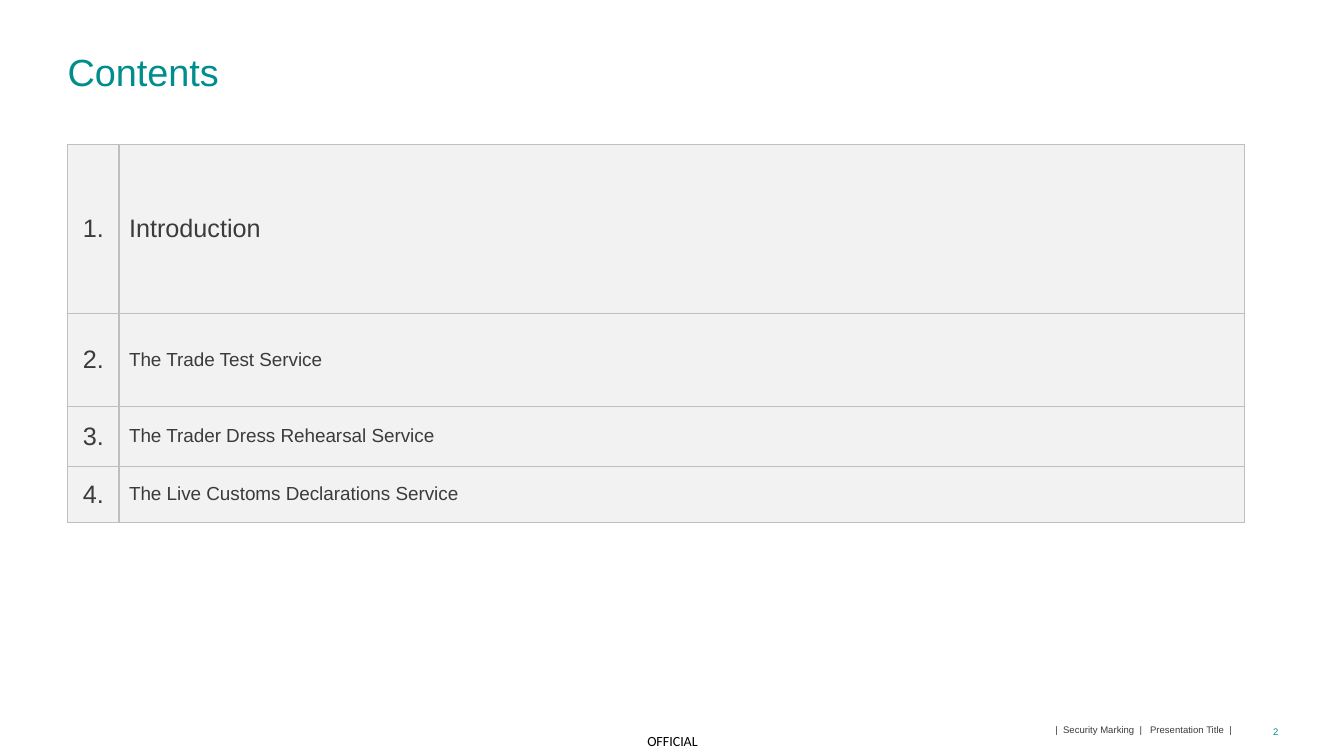
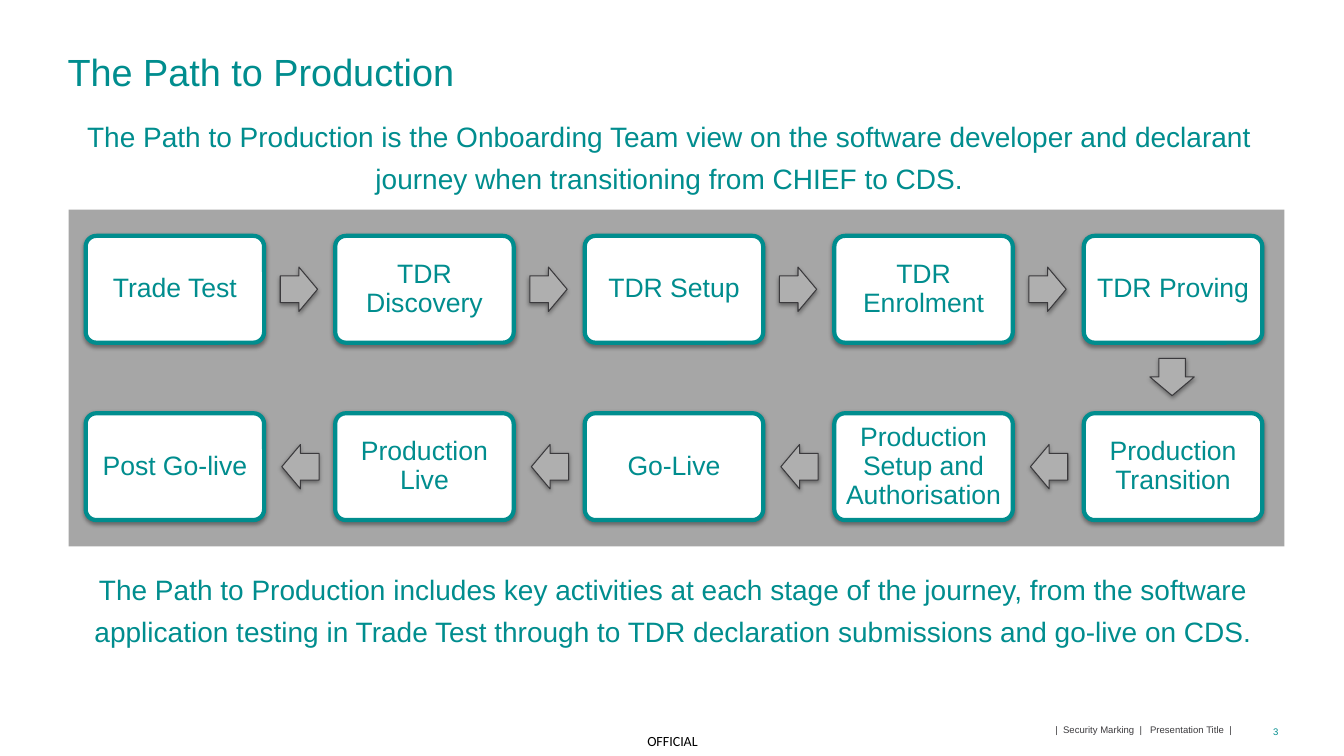
from dataclasses import dataclass
from typing import Optional

from lxml.etree import SubElement
from pptx import Presentation
from pptx.dml.color import RGBColor as RGB
from pptx.enum.shapes import MSO_SHAPE as Shape
from pptx.enum.text import MSO_ANCHOR as Anchor, MSO_AUTO_SIZE as AutoSize, PP_ALIGN as Align
from pptx.oxml.ns import qn
from pptx.util import Inches, Pt


# Theme: colours and type sizes
@dataclass(frozen=True)
class Theme:
    teal: str = "008D8E"
    ink: str = "3B3A3D"
    black: str = "000000"
    white: str = "FFFFFF"
    panel: str = "A6A6A6"
    arrow: str = "AFAFAF"
    cell: str = "F2F2F2"
    border: str = "BFBFBF"
    font: str = "Arial"
    marking_font: str = "Calibri"
    title: float = 27
    statement: float = 20
    step: float = 19
    heading: float = 18
    entry: float = 13.5
    marking: float = 10
    footer: float = 6.8


THEME = Theme()


@dataclass(frozen=True)
class Box:
    left: float
    top: float
    width: float
    height: float

    def emu(self) -> tuple:
        return tuple(Inches(v) for v in (self.left, self.top, self.width, self.height))


@dataclass(frozen=True)
class Entry:
    text: str
    row_height: float
    size: float = THEME.entry


# Shared drawing functions
def write(frame, text: str, *, size: float, color: str = THEME.teal, font: str = THEME.font,
          align=Align.LEFT, anchor=Anchor.TOP, inset: Optional[float] = 0,
          line_spacing=None, space_after: float = 0) -> None:
    frame.word_wrap = True
    frame.auto_size = AutoSize.NONE
    frame.vertical_anchor = anchor
    if inset is not None:
        frame.margin_left = frame.margin_right = Inches(inset)
        frame.margin_top = frame.margin_bottom = Inches(inset)
    paragraph = frame.paragraphs[0]
    paragraph.alignment = align
    paragraph.space_after = Pt(space_after)
    if line_spacing is not None:
        paragraph.line_spacing = line_spacing
    run = paragraph.add_run()
    run.text = text
    run.font.name = font
    run.font.size = Pt(size)
    run.font.color.rgb = RGB.from_string(color)


def add_text(slide, box: Box, text: str, **text_format) -> None:
    write(slide.shapes.add_textbox(*box.emu()).text_frame, text, **text_format)


def add_block(shapes, kind, box: Box, fill: str, line: Optional[str] = None,
              line_width: float = 0, shadow: bool = False):
    block = shapes.add_shape(kind, *box.emu())
    block.shadow.inherit = False
    block.fill.solid()
    block.fill.fore_color.rgb = RGB.from_string(fill)
    if line is None:
        block.line.fill.background()
    else:
        block.line.color.rgb = RGB.from_string(line)
        block.line.width = Pt(line_width)
    if shadow:
        effects = block.element.spPr.find(qn("a:effectLst"))
        outer = SubElement(effects, qn("a:outerShdw"), blurRad=str(Pt(3.1)),
                           dist=str(Pt(1.6)), dir="5400000", rotWithShape="0")
        tone = SubElement(outer, qn("a:srgbClr"), val=THEME.black)
        SubElement(tone, qn("a:alpha"), val="38000")
    return block


def add_cell_borders(cell) -> None:
    properties = cell._tc.get_or_add_tcPr()
    for side in ("lnL", "lnR", "lnT", "lnB"):
        edge = SubElement(properties, qn(f"a:{side}"), w=str(Pt(1)))
        fill = SubElement(edge, qn("a:solidFill"))
        SubElement(fill, qn("a:srgbClr"), val=THEME.border)


def add_titled_slide(deck, title: str, number: int):
    slide = deck.slides.add_slide(deck.slide_layouts[5])
    heading = slide.shapes.title
    heading.left, heading.top, heading.width, heading.height = Box(0.67, 0.52, 12, 0.91).emu()
    write(heading.text_frame, title, size=THEME.title, line_spacing=Pt(30), space_after=6)
    # Footer
    add_text(slide, Box(6.27, 7.21, 0.8, 0.29), "OFFICIAL", size=THEME.marking,
             color=THEME.black, font=THEME.marking_font, align=Align.CENTER, anchor=Anchor.MIDDLE)
    add_text(slide, Box(2.41, 7.13, 9.81, 0.22), "|  Security Marking  |   Presentation Title  |",
             size=THEME.footer, color=THEME.ink, align=Align.RIGHT, anchor=Anchor.MIDDLE)
    add_text(slide, Box(12.34, 7.2, 0.34, 0.11), str(number), size=THEME.footer,
             align=Align.RIGHT)
    return slide


# Contents slide
ENTRIES = (
    Entry("Introduction", 1.68, THEME.heading),
    Entry("The Trade Test Service", 0.92),
    Entry("The Trader Dress Rehearsal Service", 0.6),
    Entry("The Live Customs Declarations Service", 0.55),
)


def add_contents(slide) -> None:
    height = sum(entry.row_height for entry in ENTRIES)
    agenda = slide.shapes.add_table(len(ENTRIES), 2, *Box(0.67, 1.43, 11.67, height).emu()).table
    agenda.first_row = agenda.horz_banding = False
    for column, width in zip(agenda.columns, (0.51, 11.16)):
        column.width = Inches(width)
    for index, entry in enumerate(ENTRIES):
        agenda.rows[index].height = Inches(entry.row_height)
        columns = ((f"{index + 1}.", THEME.heading, Align.CENTER),
                   (entry.text, entry.size, Align.LEFT))
        for column, (text, size, align) in enumerate(columns):
            cell = agenda.cell(index, column)
            add_cell_borders(cell)
            cell.fill.solid()
            cell.fill.fore_color.rgb = RGB.from_string(THEME.cell)
            cell.vertical_anchor = Anchor.MIDDLE
            write(cell.text_frame, text, size=size, color=THEME.ink, align=align,
                  anchor=None, inset=None)


# Path to Production slide
STEPS = (
    "Trade Test", "TDR Discovery", "TDR Setup", "TDR Enrolment", "TDR Proving",
    "Production Transition", "Production Setup and Authorisation", "Go-Live",
    "Production Live", "Post Go-live",
)
PER_ROW = 5
FIRST_STEP = Box(0.85, 2.34, 1.77, 1.06)
COLUMN_PITCH, ROW_PITCH = 2.475, 1.76
ARROW_WIDTH, ARROW_HEIGHT = 0.37, 0.44


def add_arrow(shapes, left: float, top: float, rotation: int) -> None:
    arrow = add_block(shapes, Shape.RIGHT_ARROW, Box(left, top, ARROW_WIDTH, ARROW_HEIGHT),
                      THEME.arrow, THEME.ink, 0.75, shadow=True)
    arrow.adjustments[0], arrow.adjustments[1] = 0.6, 0.5
    arrow.rotation = rotation


def add_path(slide) -> None:
    add_block(slide.shapes, Shape.RECTANGLE, Box(0.68, 2.08, 12.06, 3.34), THEME.panel)
    path = slide.shapes.add_group_shape().shapes
    for index, step in enumerate(STEPS):
        # The second row runs from right to left
        row, place = divmod(index, PER_ROW)
        column = PER_ROW - 1 - place if row else place
        left = FIRST_STEP.left + column * COLUMN_PITCH
        top = FIRST_STEP.top + row * ROW_PITCH
        card = add_block(path, Shape.ROUNDED_RECTANGLE,
                         Box(left, top, FIRST_STEP.width, FIRST_STEP.height),
                         THEME.white, THEME.teal, 3, shadow=True)
        card.adjustments[0] = 0.1
        write(card.text_frame, step, size=THEME.step, align=Align.CENTER,
              anchor=Anchor.MIDDLE, inset=0.08, line_spacing=0.9)
        # Arrow to the next step
        if index == len(STEPS) - 1:
            continue
        arrow_top = top + (FIRST_STEP.height - ARROW_HEIGHT) / 2
        if place == PER_ROW - 1:
            add_arrow(path, left + (FIRST_STEP.width - ARROW_WIDTH) / 2 - 0.01, top + 1.18, 90)
        elif row:
            add_arrow(path, left - 0.53, arrow_top, 180)
        else:
            add_arrow(path, left + 1.93, arrow_top, 0)


def add_statement(slide, box: Box, text: str) -> None:
    add_text(slide, box, text, size=THEME.statement, align=Align.CENTER,
             line_spacing=Pt(30), space_after=6)


# Build the deck
deck = Presentation()
deck.slide_width, deck.slide_height = Inches(13.33), Inches(7.5)

add_contents(add_titled_slide(deck, "Contents", 2))

production = add_titled_slide(deck, "The Path to Production", 3)
add_path(production)
add_statement(production, Box(0.68, 1.1, 11.92, 0.91),
              "The Path to Production is the Onboarding Team view on the software developer "
              "and declarant journey when transitioning from CHIEF to CDS.")
add_statement(production, Box(0.68, 5.6, 12, 0.91),
              "The Path to Production includes key activities at each stage of the journey, "
              "from the software application testing in Trade Test through to TDR declaration "
              "submissions and go-live on CDS.")

deck.save("out.pptx")
